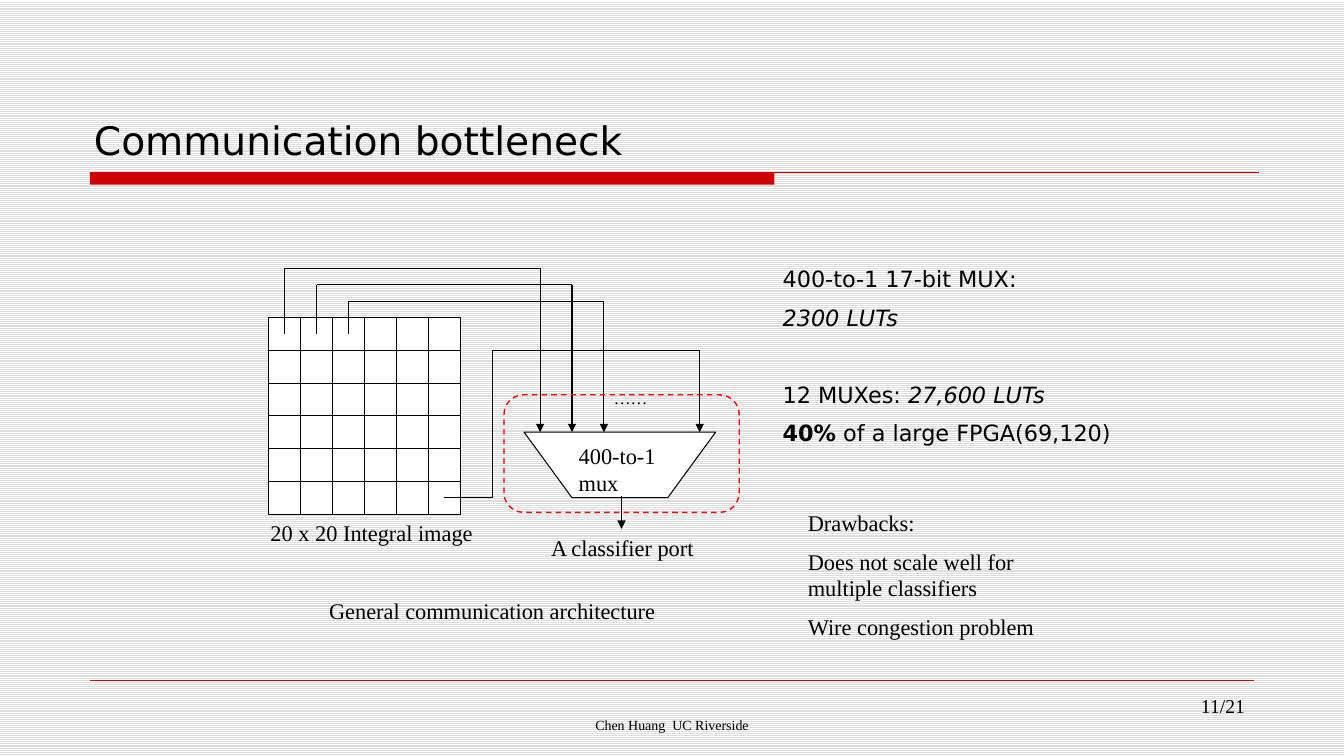
from dataclasses import dataclass
from itertools import pairwise

from lxml import etree
from pptx import Presentation
from pptx import util as u
from pptx.dml.color import RGBColor
from pptx.enum import dml, shapes, text
from pptx.oxml import ns


@dataclass(frozen=True)
class Theme:
    black: str = "000000"
    white: str = "FFFFFF"
    stripe: str = "DDDDDD"
    accent: str = "CC0000"
    highlight: str = "FF0000"
    sans: str = "DejaVu Sans"
    serif: str = "Times New Roman"
    title: float = 28
    body: float = 16
    number: float = 14
    dots: float = 12
    footer: float = 10
    thin: float = 0.75
    hairline: float = 0.25
    dashed: float = 1
    gap: float = 8.5
    section_gap: float = 35.5


@dataclass(frozen=True)
class Run:
    words: str
    bold: bool = False
    italic: bool = False


@dataclass(frozen=True)
class Line:
    runs: tuple[Run, ...]
    space_before: float = 0


@dataclass(frozen=True)
class Label:
    """Text in a box given in columns and rows of the page grid."""
    left: float
    top: float
    width: float
    height: float
    lines: tuple[Line, ...]
    size: float
    font: str
    align: text.PP_ALIGN = text.PP_ALIGN.LEFT
    anchor: text.MSO_ANCHOR = text.MSO_ANCHOR.TOP
    indent: float = 0


@dataclass(frozen=True)
class Wire:
    """A bent line through points given in cells of the integral image."""
    points: tuple[tuple[float, float], ...]
    arrow: bool = True


THEME = Theme()
COLUMNS, ROWS = 160, 90
UNIT = u.Inches(7.5) / ROWS
IMAGE_LEFT, IMAGE_TOP = 32, 37.8
CELL_WIDTH, CELL_HEIGHT = 3.8, 3.9
CELLS = 6
MUX_TOP, MUX_BOTTOM = 3.5, 5.5
MUX_CORNERS = ((8, MUX_TOP), (9.5, MUX_BOTTOM), (12.5, MUX_BOTTOM), (14, MUX_TOP))
INDENT = 6


def emu(units: float) -> u.Emu:
    return u.Emu(round(units * UNIT))


def cell(column: float, row: float) -> tuple[float, float]:
    """Turn image cells into page grid units."""
    return IMAGE_LEFT + column * CELL_WIDTH, IMAGE_TOP + row * CELL_HEIGHT


def plain(words: str, space_before: float = 0) -> Line:
    return Line((Run(words),), space_before)


def style(shape, fill: str | None, line: str | None, weight: float = THEME.thin) -> None:
    shape.shadow.inherit = False
    if fill:
        shape.fill.solid()
        shape.fill.fore_color.rgb = RGBColor.from_string(fill)
    else:
        shape.fill.background()
    if line:
        shape.line.color.rgb = RGBColor.from_string(line)
        shape.line.width = u.Pt(weight)
    else:
        shape.line.fill.background()


def add_box(slide, kind, left: float, top: float, width: float, height: float):
    return slide.shapes.add_shape(kind, emu(left), emu(top), emu(width), emu(height))


def add_line(slide, start: tuple[float, float], end: tuple[float, float],
             color: str = THEME.black, weight: float = THEME.thin, arrow: bool = False) -> None:
    connector = slide.shapes.add_connector(
        shapes.MSO_CONNECTOR.STRAIGHT, *(emu(value) for value in (*start, *end)))
    connector.line.color.rgb = RGBColor.from_string(color)
    connector.line.width = u.Pt(weight)
    if arrow:
        etree.SubElement(connector.line._get_or_add_ln(), ns.qn("a:tailEnd"), type="triangle")
    etree.SubElement(connector._element.spPr, ns.qn("a:effectLst"))


def add_wire(slide, wire: Wire) -> None:
    points = [cell(*point) for point in wire.points]
    for start, end in pairwise(points):
        add_line(slide, start, end, arrow=wire.arrow and end == points[-1])


def add_label(slide, label: Label) -> None:
    box = slide.shapes.add_textbox(
        emu(label.left), emu(label.top), emu(label.width), emu(label.height))
    frame = box.text_frame
    frame.word_wrap = True
    frame.vertical_anchor = label.anchor
    frame.margin_left = u.Inches(0.1) + emu(label.indent)
    for index, line in enumerate(label.lines):
        paragraph = frame.add_paragraph() if index else frame.paragraphs[0]
        paragraph.alignment = label.align
        paragraph.space_before = u.Pt(line.space_before)
        for piece in line.runs:
            run = paragraph.add_run()
            run.text = piece.words
            run.font.name = label.font
            run.font.size = u.Pt(label.size)
            run.font.bold = piece.bold
            run.font.italic = piece.italic
            run.font.color.rgb = RGBColor.from_string(THEME.black)


WIRES = (
    *(Wire(((n + 0.5, 0.5), (n + 0.5, n / 2 - 1.5), (n + 8.5, n / 2 - 1.5), (n + 8.5, MUX_TOP)))
      for n in range(3)),
    Wire(((5.5, 5.5), (7, 5.5), (7, 1), (13.5, 1), (13.5, MUX_TOP))),
    Wire(((11.05, 5.45), (11.05, 6.45))),
)

LABELS = (
    Label(10, 4, 140, 16, (plain("Communication bottleneck"),), THEME.title, THEME.sans,
          anchor=text.MSO_ANCHOR.BOTTOM),
    Label(116, 82, 33.4, 6, (plain("11/21"),), THEME.number, THEME.serif, text.PP_ALIGN.RIGHT),
    Label(54.7, 84.7, 50.6, 6.2, (plain("Chen Huang  UC Riverside"),), THEME.footer,
          THEME.serif, text.PP_ALIGN.CENTER),
    Label(58.4, 63, 26.5, 7.8, (plain("A classifier port"),), THEME.body, THEME.serif,
          indent=INDENT),
    Label(71.9, 45.6, 11.4, 5.9, (plain("……"),), THEME.dots, THEME.serif),
    Label(25, 61.2, 34, 8.9, (plain("20 x 20 Integral image"),), THEME.body, THEME.serif,
          indent=INDENT),
    Label(61.7, 52, 22.3, 7.8, (plain("400-to-1 mux"),), THEME.body, THEME.serif, indent=INDENT),
    Label(92, 31, 43, 23.6, (
        plain("400-to-1 17-bit MUX:"),
        Line((Run("2300 LUTs", italic=True),), THEME.gap),
        Line((Run("12 MUXes: "), Run("27,600 LUTs", italic=True)), THEME.section_gap),
        Line((Run("40%", bold=True), Run(" of a large FPGA(69,120)")), THEME.gap),
    ), THEME.body, THEME.sans),
    Label(38, 70.5, 43, 4.5, (plain("General communication architecture"),), THEME.body,
          THEME.serif),
    Label(95, 60, 33, 22, (
        plain("Drawbacks:"),
        plain("Does not scale well for multiple classifiers", THEME.gap),
        plain("Wire congestion problem", THEME.gap),
    ), THEME.body, THEME.serif),
)


def add_page_frame(slide) -> None:
    fill = slide.background.fill
    fill.patterned()
    fill.pattern = dml.MSO_PATTERN.LIGHT_HORIZONTAL
    fill.fore_color.rgb = RGBColor.from_string(THEME.stripe)
    fill.back_color.rgb = RGBColor.from_string(THEME.white)
    bar = add_box(slide, shapes.MSO_SHAPE.RECTANGLE, 10.7, 20.5, 81.5, 1.5)
    style(bar, THEME.accent, None)
    add_line(slide, (10.7, 20.5), (149.9, 20.5), THEME.accent)
    add_line(slide, (10.7, 81), (149.3, 81), THEME.accent, THEME.hairline)


def add_integral_image(slide) -> None:
    square = add_box(slide, shapes.MSO_SHAPE.RECTANGLE, IMAGE_LEFT, IMAGE_TOP,
                     CELLS * CELL_WIDTH, CELLS * CELL_HEIGHT)
    style(square, THEME.white, THEME.black)
    for n in range(1, CELLS):
        add_line(slide, cell(0, n), cell(CELLS, n))
        add_line(slide, cell(n, 0), cell(n, CELLS))


def add_mux(slide) -> None:
    first, *others = [tuple(emu(value) for value in cell(*corner)) for corner in MUX_CORNERS]
    builder = slide.shapes.build_freeform(*first)
    builder.add_line_segments(others, close=True)
    style(builder.convert_to_shape(), THEME.white, THEME.black)


def add_mux_outline(slide) -> None:
    outline = add_box(slide, shapes.MSO_SHAPE.ROUNDED_RECTANGLE, 60, 47, 28, 14)
    style(outline, None, THEME.highlight, THEME.dashed)
    outline.line.dash_style = dml.MSO_LINE.DASH


def main() -> None:
    presentation = Presentation()
    presentation.slide_width, presentation.slide_height = emu(COLUMNS), emu(ROWS)
    slide = presentation.slides.add_slide(presentation.slide_layouts[6])
    add_page_frame(slide)
    add_integral_image(slide)
    add_mux(slide)
    for wire in WIRES:
        add_wire(slide, wire)
    for label in LABELS:
        add_label(slide, label)
    add_mux_outline(slide)
    presentation.save("out.pptx")


if __name__ == "__main__":
    main()
